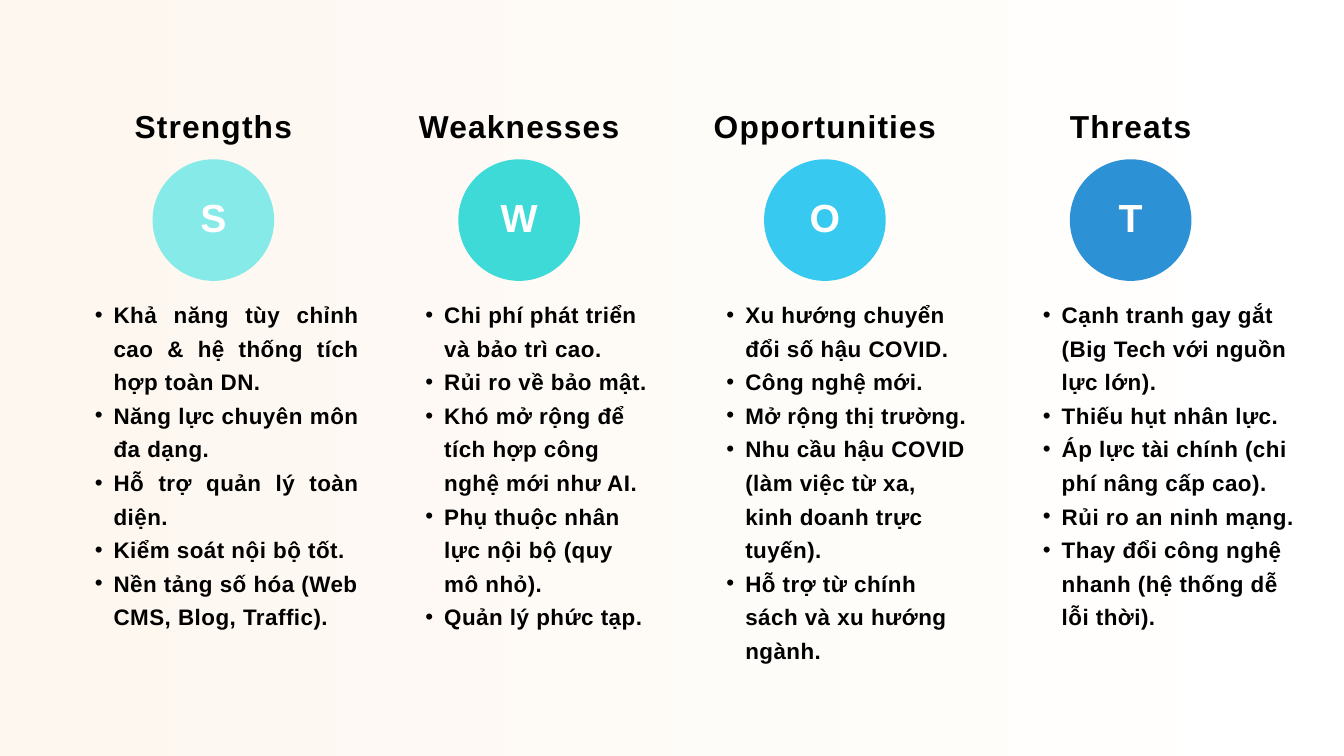
from lxml import etree
from pptx import Presentation
from pptx.dml.color import RGBColor
from pptx.enum.shapes import MSO_SHAPE
from pptx.enum.text import MSO_ANCHOR, MSO_AUTO_SIZE, PP_ALIGN
from pptx.oxml.ns import qn
from pptx.util import Pt

PX = 9144  # 100 px to the inch
LEFT, CENTER, JUST = PP_ALIGN.LEFT, PP_ALIGN.CENTER, PP_ALIGN.JUSTIFY
OVAL = MSO_SHAPE.OVAL
MIDDLE, TOP = MSO_ANCHOR.MIDDLE, MSO_ANCHOR.TOP
GROW, FIXED = MSO_AUTO_SIZE.SHAPE_TO_FIT_TEXT, MSO_AUTO_SIZE.NONE
FONT = "Arial"
FIRST, PITCH, WIDE = 142, 455, 351

# head, head top, circle colour, list (left, width, height), justified items, items
COLS = [
    ("Strengths", 155, "86EAE9", (112, 422, 537), 4, [
        "Khả năng tùy chỉnh cao & hệ thống tích hợp toàn DN.",
        "Năng lực chuyên môn đa dạng.",
        "Hỗ trợ quản lý toàn diện.",
        "Kiểm soát nội bộ tốt.",
        "Nền tảng số hóa (Web CMS, Blog, Traffic)."]),
    ("Weaknesses", 155, "3EDAD8", (604, 365, 488), 0, [
        "Chi phí phát triển và bảo trì cao.",
        "Rủi ro về bảo mật.",
        "Khó mở rộng để tích hợp công nghệ mới như AI.",
        "Phụ thuộc nhân lực nội bộ (quy mô nhỏ).",
        "Quản lý phức tạp."]),
    ("Opportunities", 154, "37C9EF", (1052, 389, 537), 0, [
        "Xu hướng chuyển đổi số hậu COVID.",
        "Công nghệ mới.",
        "Mở rộng thị trường.",
        "Nhu cầu hậu COVID (làm việc từ xa, kinh doanh trực tuyến).",
        "Hỗ trợ từ chính sách và xu hướng ngành."]),
    ("Threats", 154, "2C92D5", (1523, 406, 488), 0, [
        "Cạnh tranh gay gắt (Big Tech với nguồn lực lớn).",
        "Thiếu hụt nhân lực.",
        "Áp lực tài chính (chi phí nâng cấp cao).",
        "Rủi ro an ninh mạng.",
        "Thay đổi công nghệ nhanh (hệ thống dễ lỗi thời)."]),
]


def color(code):
    return RGBColor.from_string(code)


def place(*box):
    return [v * PX for v in box]


def add_box(shapes, box, inset=0, anchor=TOP, fit=GROW):
    frame = shapes.add_textbox(*place(*box)).text_frame
    frame.word_wrap = True
    frame.auto_size = fit
    frame.vertical_anchor = anchor
    frame.margin_left = frame.margin_right = inset * PX
    frame.margin_top = frame.margin_bottom = inset * PX
    return frame


def add_run(para, text, size, line, align, code="000000", space=0):
    para.alignment = align
    para.line_spacing = Pt(line)
    run = para.add_run()
    run.text = text
    font = run.font
    font.name, font.size, font.bold = FONT, Pt(size), True
    font.color.rgb = color(code)
    if space:
        run._r.get_or_add_rPr().set("spc", str(space))


def add_bullet(para):
    para.level = 1
    props = para._p.get_or_add_pPr()
    props.set("marL", str(57 * PX))
    props.set("indent", str(-28 * PX))
    etree.SubElement(props, qn("a:buFont")).set("typeface", FONT)
    etree.SubElement(props, qn("a:buChar")).set("char", "•")


def add_badge(slide, left, top, letter, code):
    group = slide.shapes.add_group_shape()
    disc = group.shapes.add_shape(OVAL, *place(left, top, 181, 181))
    disc.shadow.inherit = False
    disc.fill.solid()
    disc.fill.fore_color.rgb = color(code)
    disc.line.fill.background()
    frame = add_box(group.shapes, (left + 17, top - 4, 147, 168), 6, MIDDLE, FIXED)
    add_run(frame.paragraphs[0], letter, 42, 58.8, CENTER, "FFFFFF")


def add_list(slide, box, items, just):
    frame = add_box(slide.shapes, box)
    for i, item in enumerate(items):
        para = frame.add_paragraph() if i else frame.paragraphs[0]
        add_bullet(para)
        add_run(para, item, 24, 36, JUST if i < just else LEFT, space=50)


def add_column(slide, left, head, top, code, area, just, items):
    frame = add_box(slide.shapes, (left, top, WIDE, 61))
    add_run(frame.paragraphs[0], head, 34, 43.9, CENTER, space=130)
    add_badge(slide, left + (WIDE - 181) // 2, 237, head[0], code)
    x, width, height = area
    add_list(slide, (x, 438, width, height), items, just)


def add_back(slide):
    fill = slide.background.fill
    fill.gradient()
    fill.gradient_angle = 0
    for stop, code in zip(fill.gradient_stops, ("FDF7EF", "FFFFFF")):
        stop.color.rgb = color(code)


def main():
    deck = Presentation()
    deck.slide_width, deck.slide_height = place(2000, 1125)
    slide = deck.slides.add_slide(deck.slide_layouts[6])
    add_back(slide)
    for i, col in enumerate(COLS):
        add_column(slide, FIRST + i * PITCH, *col)
    deck.save("out.pptx")


if __name__ == "__main__":
    main()
